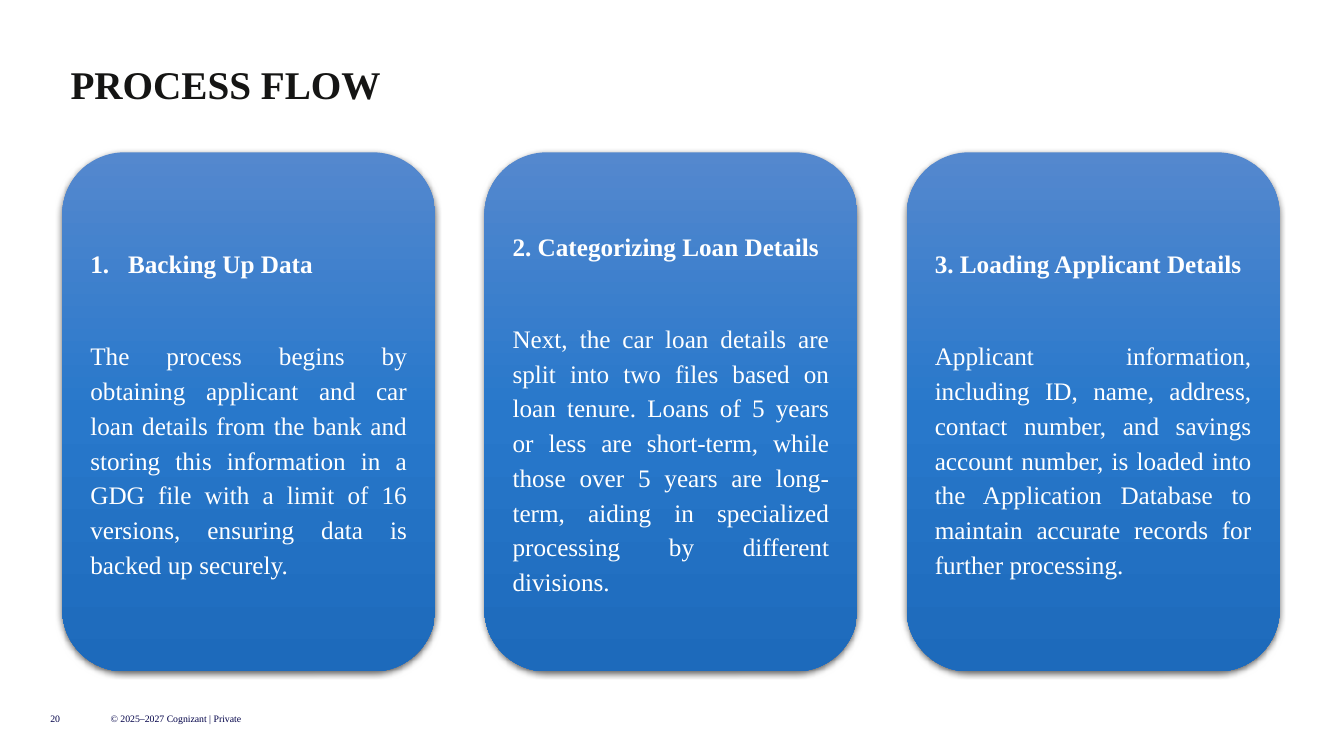
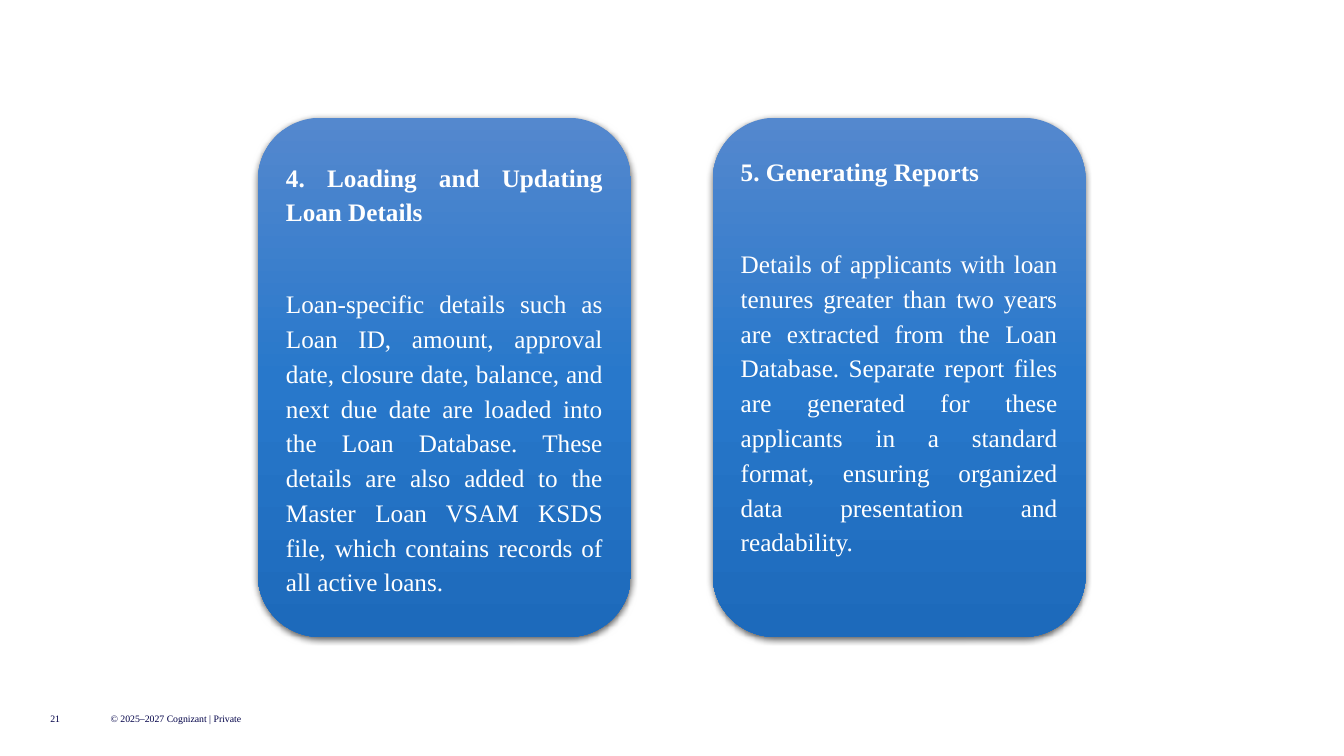
from lxml import etree
from pptx import Presentation
from pptx.dml.color import RGBColor
from pptx.enum import shapes, text
from pptx.oxml import ns, parse_xml
from pptx.util import Cm, Pt

FONT = "Times New Roman"
WHITE = RGBColor(0xFF, 0xFF, 0xFF)
INK = RGBColor(0x15, 0x15, 0x14)
NAVY = RGBColor(0x00, 0x00, 0x48)
CARD_STOPS = (
    (0, RGBColor(0x54, 0x88, 0xCE)),
    (50, RGBColor(0x28, 0x78, 0xCB)),
    (100, RGBColor(0x1D, 0x6A, 0xBB)),
)
CARD_WIDTH, CARD_HEIGHT = 9.4, 13.08
COPYRIGHT = "© 2025–2027 Cognizant | Private"

# Cards: heading, body, whether the number is automatic, bottom margin
FIRST_CARDS = (
    ("Backing Up Data",
     "The process begins by obtaining applicant and car loan details from the "
     "bank and storing this information in a GDG file with a limit of 16 "
     "versions, ensuring data is backed up securely.", True, 0.13),
    ("2. Categorizing Loan Details",
     "Next, the car loan details are split into two files based on loan "
     "tenure. Loans of 5 years or less are short-term, while those over 5 "
     "years are long-term, aiding in specialized processing by different "
     "divisions.", False, 0.13),
    ("3. Loading Applicant Details",
     "Applicant information, including ID, name, address, contact number, and "
     "savings account number, is loaded into the Application Database to "
     "maintain accurate records for further processing.", False, 0.13),
)
LAST_CARDS = (
    ("4. Loading and Updating Loan Details",
     "Loan-specific details such as Loan ID, amount, approval date, closure "
     "date, balance, and next due date are loaded into the Loan Database. "
     "These details are also added to the Master Loan VSAM KSDS file, which "
     "contains records of all active loans.", False, 0.13),
    ("5. Generating Reports",
     "Details of applicants with loan tenures greater than two years are "
     "extracted from the Loan Database. Separate report files are generated "
     "for these applicants in a standard format, ensuring organized data "
     "presentation and readability.", False, 1.28),
)


def style_para(para, size, color, bold=False):
    para.alignment = text.PP_ALIGN.JUSTIFY
    font = para.font
    font.name, font.size, font.bold = FONT, Pt(size), bold
    font.color.rgb = color


def add_label(page, left, top, width, height, words, size, color,
              bold=False, anchor=text.MSO_ANCHOR.MIDDLE):
    box = page.shapes.add_textbox(Cm(left), Cm(top), Cm(width), Cm(height))
    frame = box.text_frame
    frame.word_wrap = True
    frame.vertical_anchor = anchor
    frame.margin_left = frame.margin_right = 0
    frame.margin_top = frame.margin_bottom = 0
    para = frame.paragraphs[0]
    para.text = words
    style_para(para, size, color, bold)
    return para


def add_title(page, words):
    para = add_label(page, 1.78, 1.65, 31.6, 1.07, words, 28, INK, True,
                     text.MSO_ANCHOR.TOP)
    para.line_spacing = 0.9


def add_footer(page, number):
    add_label(page, 1.27, 17.78, 1.02, 0.64, str(number), 7, NAVY)
    add_label(page, 2.79, 17.78, 4.93, 0.64, COPYRIGHT, 7, NAVY)


def paint_card(card):
    """Vertical three-stop gradient, no outline, soft shadow below."""
    properties = card._element.spPr
    stops = "".join(
        f'<a:gs pos="{place * 1000}"><a:srgbClr val="{color}"/></a:gs>'
        for place, color in CARD_STOPS)
    properties.append(parse_xml(
        f'<a:gradFill {ns.nsdecls("a")} rotWithShape="1">'
        f'<a:gsLst>{stops}</a:gsLst>'
        '<a:lin ang="5400000" scaled="0"/></a:gradFill>'))
    card.line.fill.background()
    properties.append(parse_xml(
        f'<a:effectLst {ns.nsdecls("a")}>'
        f'<a:outerShdw blurRad="{Pt(4.5)}" dist="{Pt(1.5)}" dir="5400000" '
        'algn="ctr" rotWithShape="0"><a:srgbClr val="000000">'
        '<a:alpha val="63000"/></a:srgbClr></a:outerShdw></a:effectLst>'))


def number_para(para):
    properties = para._p.get_or_add_pPr()
    indent = Cm(0.95)
    properties.set("marL", str(indent))
    properties.set("indent", str(-indent))
    bullet = etree.SubElement(properties, ns.qn("a:buAutoNum"))
    bullet.set("type", "arabicPeriod")


def add_card(page, left, top, heading, body, numbered, bottom_margin):
    card = page.shapes.add_shape(
        shapes.MSO_SHAPE.ROUNDED_RECTANGLE,
        Cm(left), Cm(top), Cm(CARD_WIDTH), Cm(CARD_HEIGHT))
    paint_card(card)
    frame = card.text_frame
    frame.word_wrap = True
    frame.vertical_anchor = text.MSO_ANCHOR.MIDDLE
    frame.margin_bottom = Cm(bottom_margin)
    head_para, body_para = frame.paragraphs[0], frame.add_paragraph()
    for para, words, gap in ((head_para, heading, 40.8), (body_para, body, 8)):
        para.text = words
        para.line_spacing = 1.15
        para.space_after = Pt(gap)
    if numbered:
        number_para(head_para)
    style_para(head_para, 18, WHITE, True)
    style_para(body_para, 18, WHITE)


def add_card_row(page, left, top, step, cards):
    for index, card in enumerate(cards):
        add_card(page, left + index * step, top, *card)


def add_page(deck, number):
    page = deck.slides.add_slide(deck.slide_layouts[6])
    add_footer(page, number)
    return page


def main():
    deck = Presentation()
    deck.slide_width, deck.slide_height = Cm(33.87), Cm(19.05)

    # Steps 1 to 3
    page = add_page(deck, 20)
    add_title(page, "PROCESS FLOW")
    add_card_row(page, 1.57, 3.84, 10.64, FIRST_CARDS)

    # Steps 4 and 5
    page = add_page(deck, 21)
    add_card_row(page, 6.5, 2.97, 11.46, LAST_CARDS)

    deck.save("out.pptx")


if __name__ == "__main__":
    main()
